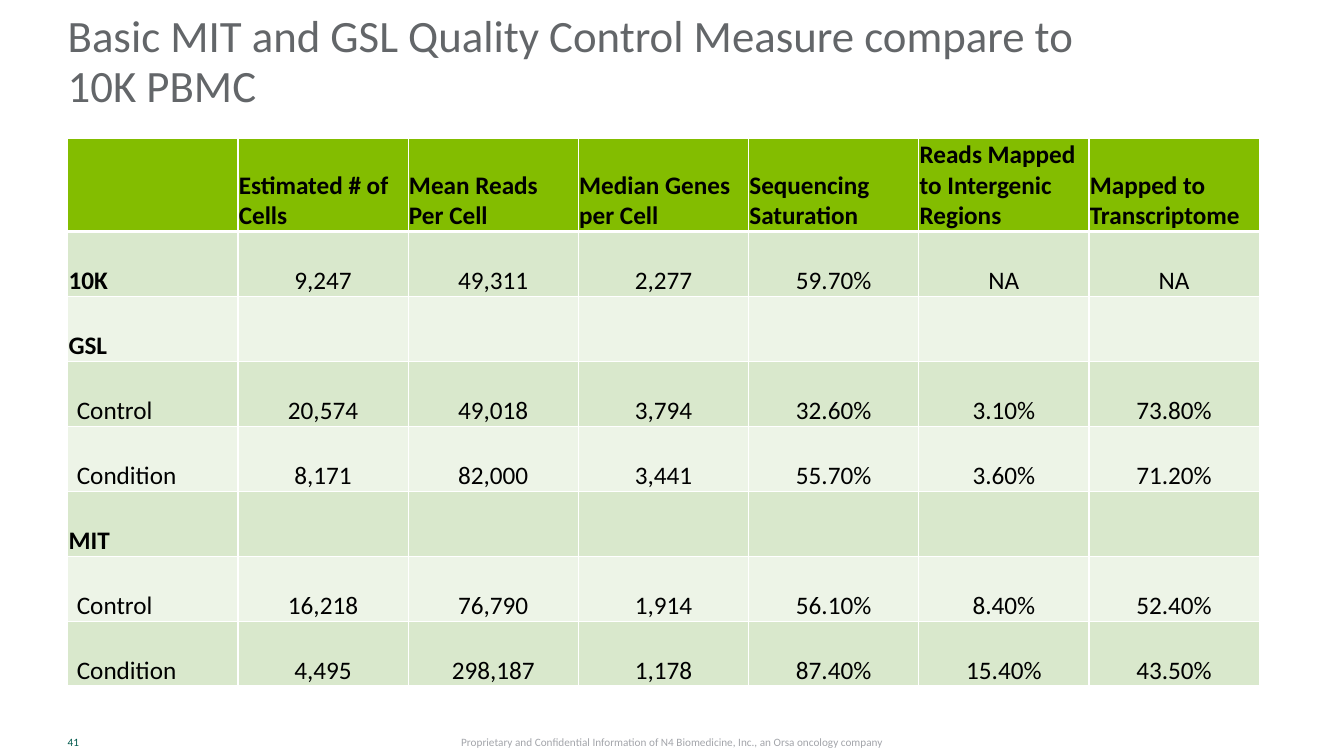
from dataclasses import dataclass

from lxml import etree
from pptx import Presentation
from pptx.dml.color import RGBColor
from pptx.enum.text import MSO_ANCHOR, PP_ALIGN
from pptx.oxml.ns import qn
from pptx.slide import Slide
from pptx.table import _Cell
from pptx.util import Pt

BOTTOM, MIDDLE = MSO_ANCHOR.BOTTOM, MSO_ANCHOR.MIDDLE
LEFT, CENTER = PP_ALIGN.LEFT, PP_ALIGN.CENTER


@dataclass(frozen=True)
class Theme:
    font: str = "Calibri"
    title: str = "636669"
    number: str = "00594C"
    footer: str = "A3A5AA"
    body: str = "000000"
    header_fill: str = "83BD00"
    dark_band: str = "D9E8CC"
    light_band: str = "EDF4E7"
    border: str = "FFFFFF"
    title_size: float = 32
    table_size: float = 18
    small_size: float = 8


@dataclass(frozen=True)
class Sample:
    label: str
    values: tuple[str, ...] = ()
    is_group: bool = False


@dataclass(frozen=True)
class Caption:
    text: str
    left: float
    top: float
    width: float
    height: float
    size: float
    color: str
    left_inset: float = 0
    anchor: MSO_ANCHOR = MIDDLE
    align: PP_ALIGN = LEFT
    line_spacing: float | None = None


THEME = Theme()
SLIDE_WIDTH, SLIDE_HEIGHT = 960, 540
MARGIN = 48.4
TABLE_TOP = 98.9
COLUMN_WIDTH = 121.6
HEADER_HEIGHT, ROW_HEIGHT = 66.4, 46.4
THIN, THICK = 1, 3
CELL_INSET, NESTED_INSET = 0.6, 6.5

MEASURES = (
    "", "Estimated # of Cells", "Mean Reads Per Cell", "Median Genes per Cell",
    "Sequencing Saturation", "Reads Mapped to Intergenic Regions",
    "Mapped to Transcriptome",
)
SAMPLES = (
    Sample("10K", ("9,247", "49,311", "2,277", "59.70%", "NA", "NA"), True),
    Sample("GSL", is_group=True),
    Sample("Control", ("20,574", "49,018", "3,794", "32.60%", "3.10%", "73.80%")),
    Sample("Condition", ("8,171", "82,000", "3,441", "55.70%", "3.60%", "71.20%")),
    Sample("MIT", is_group=True),
    Sample("Control", ("16,218", "76,790", "1,914", "56.10%", "8.40%", "52.40%")),
    Sample("Condition", ("4,495", "298,187", "1,178", "87.40%", "15.40%", "43.50%")),
)
CAPTIONS = (
    Caption("Basic MIT and GSL Quality Control Measure compare to 10K PBMC",
            MARGIN, 0, 759, 83.5, THEME.title_size, THEME.title,
            anchor=BOTTOM, line_spacing=36),
    Caption("41", MARGIN, 520, 48, 20, THEME.small_size, THEME.number),
    Caption("Proprietary and Confidential Information of N4 Biomedicine, Inc., "
            "an Orsa oncology company",
            305.3, 520, 350, 20, THEME.small_size, THEME.footer,
            left_inset=7.2, align=CENTER),
)


def style_paragraph(paragraph, size: float, color: str, bold: bool, align: PP_ALIGN) -> None:
    paragraph.alignment = align
    font = paragraph.font
    font.name, font.size, font.bold = THEME.font, Pt(size), bold
    font.color.rgb = RGBColor.from_string(color)


def add_caption(slide: Slide, caption: Caption) -> None:
    box = slide.shapes.add_textbox(
        Pt(caption.left), Pt(caption.top), Pt(caption.width), Pt(caption.height))
    frame = box.text_frame
    frame.word_wrap = True
    frame.vertical_anchor = caption.anchor
    frame.margin_left = Pt(caption.left_inset)
    paragraph = frame.paragraphs[0]
    paragraph.text = caption.text
    if caption.line_spacing:
        paragraph.line_spacing = Pt(caption.line_spacing)
    style_paragraph(paragraph, caption.size, caption.color, False, caption.align)


def add_borders(cell: _Cell, top: float, bottom: float) -> None:
    """Draw the four cell edges; must run before the cell gets its fill."""
    properties = cell._tc.get_or_add_tcPr()
    for edge, width in (("L", THIN), ("R", THIN), ("T", top), ("B", bottom)):
        line = etree.SubElement(properties, qn(f"a:ln{edge}"), w=str(Pt(width)))
        solid = etree.SubElement(line, qn("a:solidFill"))
        etree.SubElement(solid, qn("a:srgbClr"), val=THEME.border)


def fill_cell(cell: _Cell, text: str, fill: str, bold: bool = False,
              align: PP_ALIGN = LEFT, inset: float = CELL_INSET) -> None:
    cell.fill.solid()
    cell.fill.fore_color.rgb = RGBColor.from_string(fill)
    cell.vertical_anchor = BOTTOM
    cell.margin_left = Pt(inset)
    cell.margin_right = cell.margin_top = Pt(CELL_INSET)
    cell.margin_bottom = Pt(0)
    paragraph = cell.text_frame.paragraphs[0]
    paragraph.text = text
    style_paragraph(paragraph, THEME.table_size, THEME.body, bold, align)


def add_quality_table(slide: Slide) -> None:
    row_count, column_count = len(SAMPLES) + 1, len(MEASURES)
    table = slide.shapes.add_table(
        row_count, column_count, Pt(MARGIN), Pt(TABLE_TOP),
        Pt(COLUMN_WIDTH * column_count),
        Pt(HEADER_HEIGHT + ROW_HEIGHT * len(SAMPLES))).table
    table.horz_banding = False
    for column in table.columns:
        column.width = Pt(COLUMN_WIDTH)
    for index, row in enumerate(table.rows):
        row.height = Pt(ROW_HEIGHT if index else HEADER_HEIGHT)
        for cell in row.cells:
            add_borders(cell, THICK if index == 1 else THIN, THIN if index else THICK)

    for column, measure in enumerate(MEASURES):
        fill_cell(table.cell(0, column), measure, THEME.header_fill, bold=True)
    for row, sample in enumerate(SAMPLES, start=1):
        band = THEME.dark_band if row % 2 else THEME.light_band
        fill_cell(table.cell(row, 0), sample.label, band, bold=sample.is_group,
                  inset=CELL_INSET if sample.is_group else NESTED_INSET)
        values = sample.values or ("",) * (column_count - 1)
        for column, value in enumerate(values, start=1):
            fill_cell(table.cell(row, column), value, band, align=CENTER)


def main() -> None:
    presentation = Presentation()
    presentation.slide_width, presentation.slide_height = Pt(SLIDE_WIDTH), Pt(SLIDE_HEIGHT)
    slide = presentation.slides.add_slide(presentation.slide_layouts[6])
    add_quality_table(slide)
    for caption in CAPTIONS:
        add_caption(slide, caption)
    presentation.save("out.pptx")


if __name__ == "__main__":
    main()
